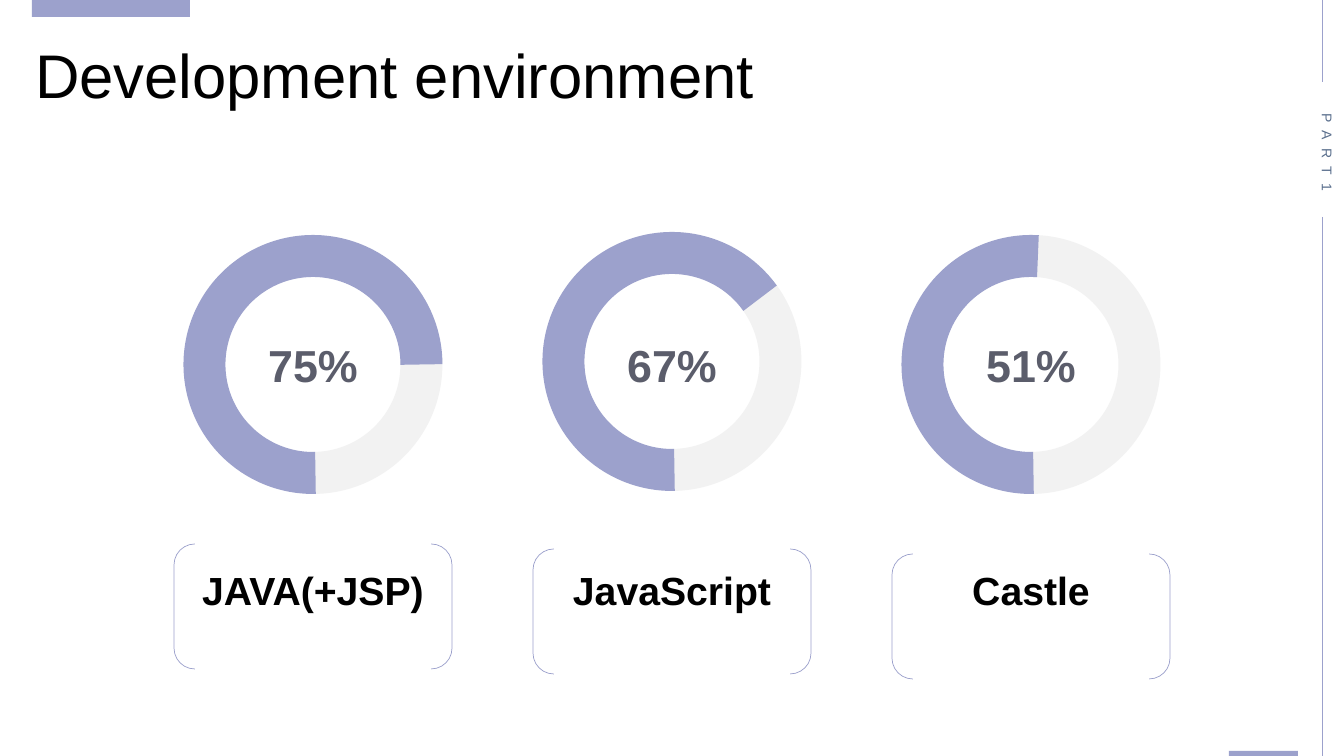
from pptx import Presentation
from pptx import util as u
from pptx.dml.color import RGBColor
from pptx.enum import shapes, text
from pptx.oxml.ns import qn

TITLE = "Development environment"
SECTION = "PART1"
# name, share, end angle of the filled arc, start angle of the rest, ring top, bracket top
SKILLS = [
    ("JAVA(+JSP)", "75%", 0, 357.16, 256, 544),
    ("JavaScript", "67%", 324.34, 323.42, 253, 549),
    ("Castle", "51%", 273.68, 265.39, 256, 554),
]
ACCENT_BARS = [(32, 0, 158, 17), (1229, 751, 69, 5)]
SIDE_LINES = [(217, 756), (0, 82)]
SIDE_X = 1322
FIRST_CENTRE, PITCH = 313, 359
RING = 217
RING_START, REST_END = 88.67, 89.11

COLORS = {"accent": "9CA1CC", "rest": "F2F2F2", "title": "000000",
          "share": "5B5D6B", "section": "5A6F8D"}
FONT = "Arial"


def px(length):
    return u.Emu(round(length * 914400 / 100.8))


def color(name):
    return RGBColor.from_string(COLORS[name])


def place(shape, left, top, width, height):
    shape.left, shape.top = px(left), px(top)
    shape.width, shape.height = px(width), px(height)


def write(box, words, size, color_name, bold=False, align=text.PP_ALIGN.LEFT, wrap=False):
    frame = box.text_frame
    frame.word_wrap = wrap
    frame.auto_size = text.MSO_AUTO_SIZE.NONE
    frame.vertical_anchor = text.MSO_ANCHOR.TOP
    para = frame.paragraphs[0]
    para.alignment = align
    para.line_spacing = 1.0
    span = para.add_run()
    span.text = words
    span.font.name, span.font.size, span.font.bold = FONT, u.Pt(size), bold
    span.font.color.rgb = color(color_name)
    return span


def add_label(words, centre, top, width, height, size, color_name):
    box = page.shapes.add_textbox(px(centre - width / 2), px(top), px(width), px(height))
    write(box, words, size, color_name, bold=True, align=text.PP_ALIGN.CENTER)


def add_outline(kind, centre, top, width, height, color_name, weight):
    shape = page.shapes.add_shape(kind, px(centre - width / 2), px(top), px(width), px(height))
    shape.shadow.inherit = False
    shape.fill.background()
    shape.line.color.rgb = color(color_name)
    shape.line.width = u.Pt(weight)
    return shape


def add_arc(centre, top, start, end, color_name):
    """Angles are in degrees, clockwise from the right."""
    arc = add_outline(shapes.MSO_SHAPE.ARC, centre, top, RING, RING, color_name, 30)
    arc.adjustments[0] = start * 0.6
    arc.adjustments[1] = end * 0.6


deck = Presentation()
deck.slide_width, deck.slide_height = px(1344), px(756)
page = deck.slides.add_slide(deck.slide_layouts[5])

for left, top, width, height in ACCENT_BARS:
    bar = page.shapes.add_shape(shapes.MSO_SHAPE.RECTANGLE, px(left), px(top), px(width), px(height))
    bar.shadow.inherit = False
    bar.fill.solid()
    bar.fill.fore_color.rgb = color("accent")
    bar.line.fill.background()

title = page.shapes.title
place(title, 25, 32, 747, 85)
write(title, TITLE, 44, "title", wrap=True)

for top, bottom in SIDE_LINES:
    line = page.shapes.add_connector(shapes.MSO_CONNECTOR.STRAIGHT,
                                     px(SIDE_X), px(top), px(SIDE_X), px(bottom))
    line.line.color.rgb = color("accent")
    line.line.width = u.Pt(0.5)
    properties = line._element.spPr
    properties.append(properties.makeelement(qn("a:effectLst"), {}))

section = page.shapes.add_textbox(px(1304), px(104), px(37), px(98))
section_span = write(section, SECTION, 10, "section")
section.text_frame._txBody.bodyPr.set("vert", "eaVert")
section_span.font._element.set("spc", "600")

for index, (name, share, filled_end, rest_start, ring_top, bracket_top) in enumerate(SKILLS):
    centre = FIRST_CENTRE + index * PITCH
    add_arc(centre, ring_top, rest_start, REST_END, "rest")
    add_arc(centre, ring_top, RING_START, filled_end, "accent")
    add_label(share, centre, 333, 111, 64, 32, "share")
    add_outline(shapes.MSO_SHAPE.DOUBLE_BRACKET, centre, bracket_top, 278, 125, "accent", 0.5)
    add_label(name, centre, 561, 245, 57, 28, "title")

deck.save("out.pptx")
